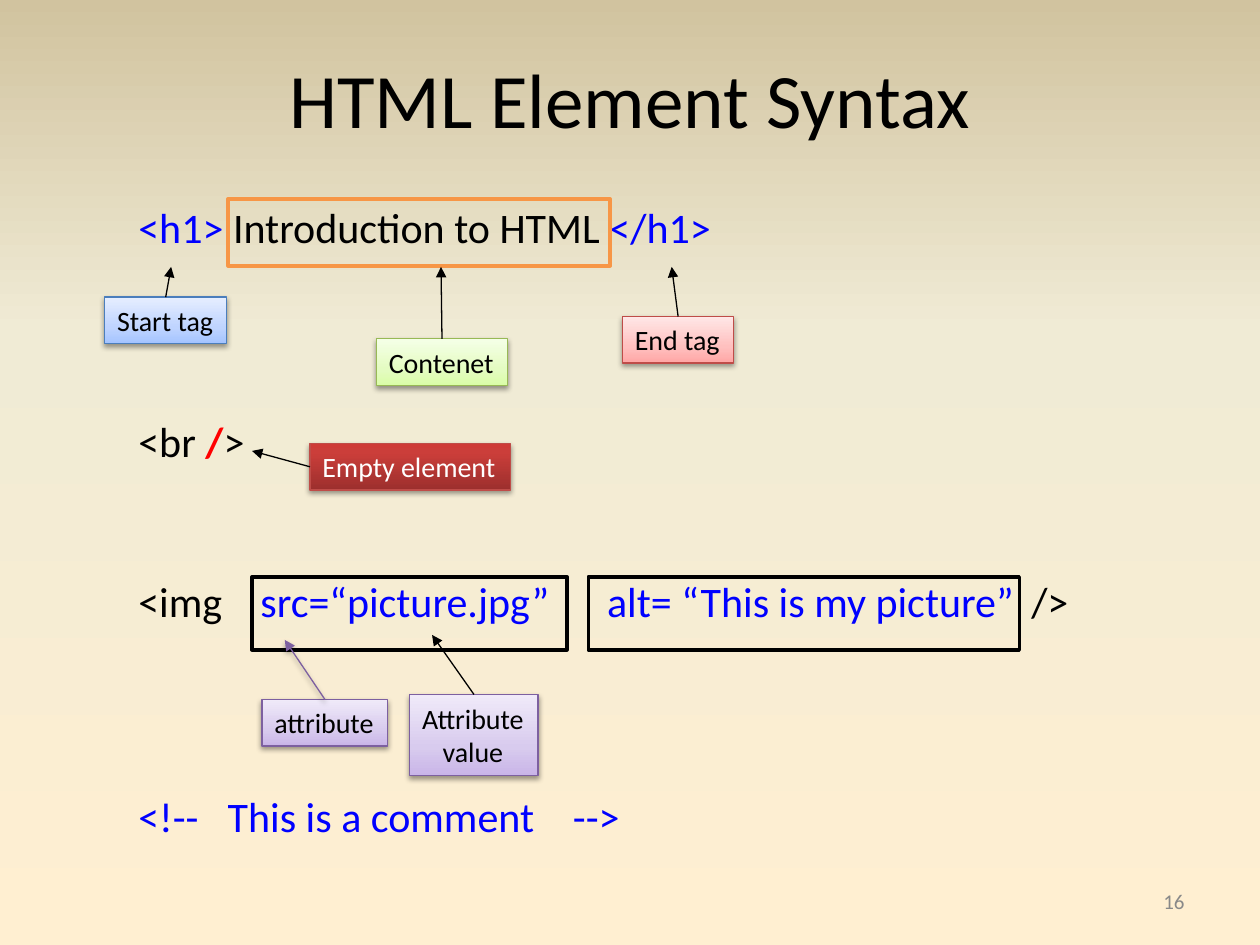
from lxml import etree
from pptx import Presentation
from pptx import util as u
from pptx.dml.color import RGBColor
from pptx.enum import shapes, text
from pptx.oxml import ns

FONT = "Calibri"
BLACK = RGBColor(0x00, 0x00, 0x00)
WHITE = RGBColor(0xFF, 0xFF, 0xFF)
BLUE = RGBColor(0x00, 0x00, 0xFF)
RED = RGBColor(0xFF, 0x00, 0x00)
GRAY = RGBColor(0x89, 0x89, 0x89)
ORANGE = RGBColor(0xF7, 0x96, 0x46)
BLUE_EDGE = RGBColor(0x4B, 0x7E, 0xBC)
RED_EDGE = RGBColor(0xBF, 0x4C, 0x48)
GREEN_EDGE = RGBColor(0x98, 0xB9, 0x55)
PURPLE_EDGE = RGBColor(0x7D, 0x60, 0xA0)


def gradient(*stops):
    return [(place, RGBColor.from_string(color)) for place, color in stops]


BACKDROP = gradient((0, "FFEFD1"), (65, "F0EBD5"), (100, "D1C39F"))
BLUE_TINT = gradient((0, "A4C4FF"), (35, "BFD4FF"), (100, "E6EEFF"))
RED_TINT = gradient((0, "FFA6A5"), (35, "FFC0BF"), (100, "FFE7E7"))
GREEN_TINT = gradient((0, "DAFDA7"), (35, "E4FCC2"), (100, "F5FFE7"))
PURPLE_TINT = gradient((0, "C9B5E8"), (35, "D8CBEE"), (100, "F0EAF9"))
DEEP_RED = gradient((0, "9C2F2D"), (80, "CB3E3A"), (100, "CE3B37"))

TOP, LEFT = 0, 1
ROW = 30.7  # pitch of the code lines, in points
GAP = 4.3   # normal space before a code line


def child(parent, tag, **attributes):
    return etree.SubElement(parent, ns.qn(tag), **attributes)


def cm(*values):
    return [u.Cm(value) for value in values]


class SlideBuilder:
    def __init__(self, page):
        self.page = page

    def paint(self, fill, owner, stops):
        fill.gradient()
        fill.gradient_angle = 90
        stop_list = next(owner.iter(ns.qn("a:gsLst")))
        for old in list(stop_list):
            stop_list.remove(old)
        for place, color in stops:
            stop = child(stop_list, "a:gs", pos=str(place * 1000))
            child(stop, "a:srgbClr", val=str(color))

    def background(self, stops):
        self.paint(self.page.background.fill, self.page.element, stops)

    def soft_shadow(self, effects):
        shadow = child(effects, "a:outerShdw", blurRad=str(u.Pt(3.1)),
                       dist=str(u.Pt(1.6)), dir="5400000", rotWithShape="0")
        color = child(shadow, "a:srgbClr", val=str(BLACK))
        child(color, "a:alpha", val="38000")

    def add_span(self, para, content, size, color, bold=False):
        span = para.add_run()
        span.text = content
        span.font.name = FONT
        span.font.size = u.Pt(size)
        span.font.color.rgb = color
        span.font.bold = bold

    def line_of_text(self, place, content, size, color, align):
        frame = self.page.shapes.add_textbox(*cm(*place)).text_frame
        frame.word_wrap = True
        frame.vertical_anchor = text.MSO_ANCHOR.MIDDLE
        frame.paragraphs[0].alignment = align
        self.add_span(frame.paragraphs[0], content, size, color)

    def code(self, place, lines):
        frame = self.page.shapes.add_textbox(*cm(*place)).text_frame
        frame.word_wrap = True
        frame.margin_left = u.Cm(1.52)
        frame.margin_top = u.Cm(1.21)
        for index, (skipped, tabs, spans) in enumerate(lines):
            para = frame.add_paragraph() if index else frame.paragraphs[0]
            para.line_spacing = 0.9
            para.space_before = u.Pt(GAP + ROW * skipped if index else 0)
            if tabs:
                tab_list = child(para._p.get_or_add_pPr(), "a:tabLst")
                for tab in tabs:
                    child(tab_list, "a:tab", pos=str(u.Cm(tab)), algn="l")
            for span in spans:
                self.add_span(para, span[0], 24, *span[1:])

    def rectangle(self, parent, place, edge, width):
        box = parent.add_shape(shapes.MSO_SHAPE.RECTANGLE, *cm(*place))
        box.shadow.inherit = False
        box.line.color.rgb = edge
        box.line.width = u.Pt(width)
        return box

    def frame(self, place, edge):
        self.rectangle(self.page.shapes, place, edge, 2).fill.background()

    def arrow(self, parent, box, side, target, color, shadow):
        x, y = cm(*target)
        arrow = parent.add_connector(shapes.MSO_CONNECTOR.STRAIGHT,
                                     box.left, box.top, x, y)
        arrow.begin_connect(box, side)
        arrow.line.color.rgb = color
        arrow.line.width = u.Pt(0.75)
        child(next(arrow.element.iter(ns.qn("a:ln"))), "a:tailEnd", type="triangle")
        effects = child(arrow.element.spPr, "a:effectLst")
        if shadow:
            self.soft_shadow(effects)

    def callout(self, place, lines, stops, edge, target, side=TOP,
                color=BLACK, arrow_color=BLACK, arrow_shadow=False):
        parent = self.page.shapes.add_group_shape().shapes
        box = self.rectangle(parent, place, edge, 0.75)
        self.paint(box.fill, box.element, stops)
        self.soft_shadow(next(box.element.iter(ns.qn("a:effectLst"))))
        frame = box.text_frame
        frame.word_wrap = False
        frame.auto_size = text.MSO_AUTO_SIZE.SHAPE_TO_FIT_TEXT
        for index, content in enumerate(lines):
            para = frame.add_paragraph() if index else frame.paragraphs[0]
            para.alignment = text.PP_ALIGN.CENTER if index else text.PP_ALIGN.LEFT
            self.add_span(para, content, 16, color)
        self.arrow(parent, box, side, target, arrow_color, arrow_shadow)


def main():
    deck = Presentation()
    deck.slide_width, deck.slide_height = cm(25.4, 19.05)
    slide = SlideBuilder(deck.slides.add_slide(deck.slide_layouts[6]))
    slide.background(BACKDROP)

    # Title
    slide.line_of_text((1.27, 0.76, 22.86, 2.41), "HTML Element Syntax",
                       44, BLACK, text.PP_ALIGN.CENTER)

    # Code lines: rows skipped before, tab stops, coloured spans
    slide.code((1.27, 2.97, 22.86, 14.4), [
        (0, (), [("<h1>", BLUE), (" Introduction to HTML ", BLACK),
                 ("</h1>", BLUE)]),
        (3, (), [("<br ", BLACK), ("/", RED, True), (">", BLACK)]),
        (2, (2.46, 9.45, 18), [
            ("<img\t", BLACK),
            ("src=“picture.jpg”\talt= “This is my picture”", BLUE),
            ("\t/>", BLACK)]),
        (3, (1.8, 8.76), [("<!--\tThis is a comment\t-->", BLUE)]),
    ])

    # Frames around the content and the attributes
    slide.frame((4.6, 4.01, 7.7, 1.35), ORANGE)
    slide.frame((5.08, 11.63, 6.35, 1.47), BLACK)
    slide.frame((11.86, 11.63, 8.69, 1.47), BLACK)

    # Callouts with their arrows
    slide.callout((2.11, 5.99, 2.46, 0.94), ["Start tag"],
                  BLUE_TINT, BLUE_EDGE, (3.45, 5.38))
    slide.callout((12.55, 6.38, 2.24, 0.94), ["End tag"],
                  RED_TINT, RED_EDGE, (13.54, 5.38))
    slide.callout((7.59, 6.83, 2.64, 0.94), ["Contenet"],
                  GREEN_TINT, GREEN_EDGE, (8.89, 5.38))
    slide.callout((6.25, 8.94, 4.04, 0.94), ["Empty element"],
                  DEEP_RED, RED_EDGE, (5.08, 9.09), side=LEFT, color=WHITE)
    slide.callout((5.28, 14.1, 2.54, 0.94), ["attribute"],
                  PURPLE_TINT, PURPLE_EDGE, (5.74, 12.9),
                  arrow_color=PURPLE_EDGE, arrow_shadow=True)
    slide.callout((8.26, 14, 2.59, 1.63), ["Attribute", "value"],
                  PURPLE_TINT, PURPLE_EDGE, (8.71, 12.8))

    # Page number
    slide.line_of_text((18.21, 17.65, 5.92, 1.02), "16",
                       12, GRAY, text.PP_ALIGN.RIGHT)

    deck.save("out.pptx")


if __name__ == "__main__":
    main()
